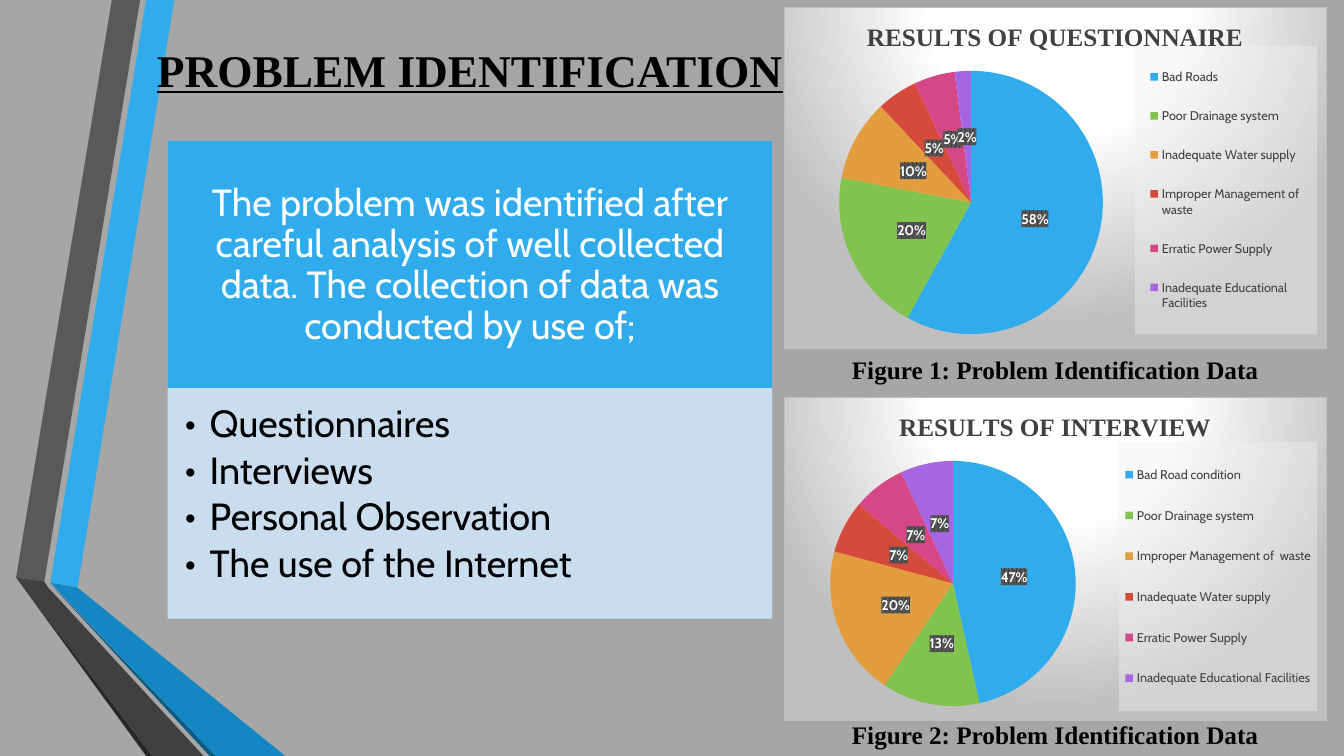
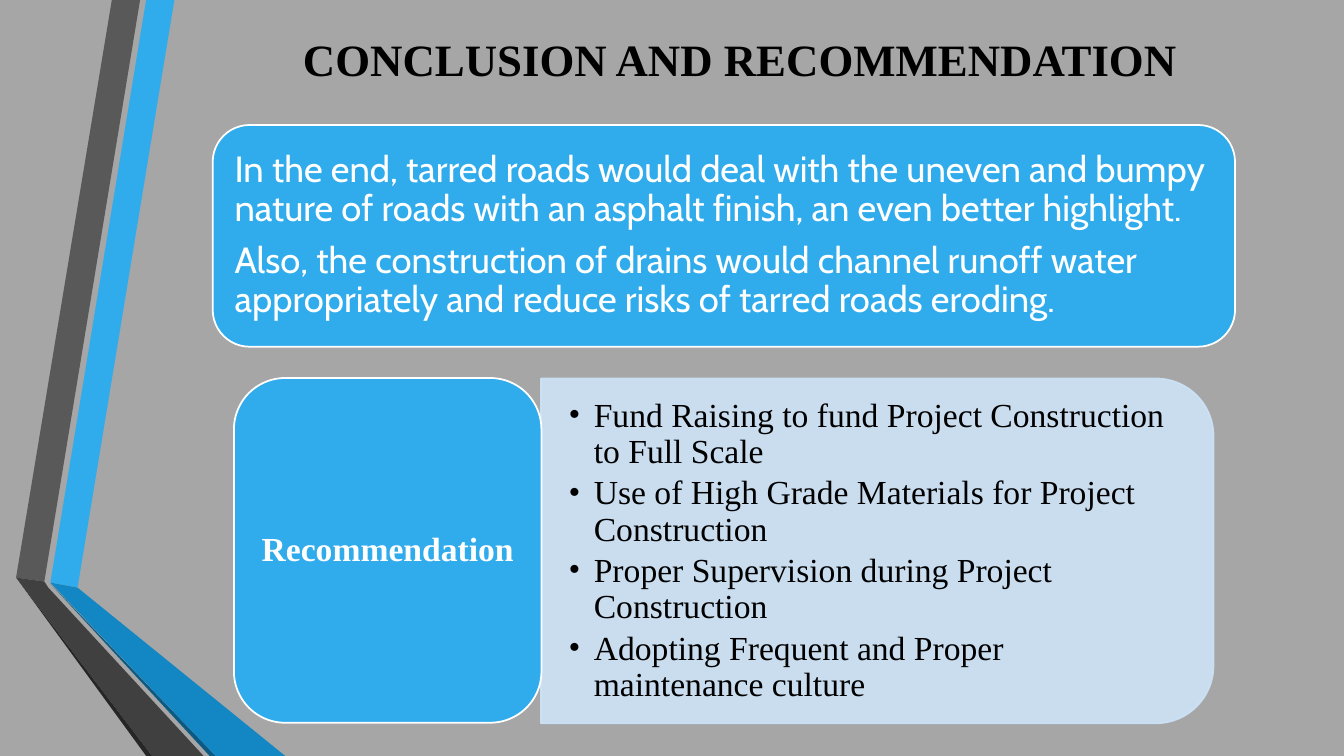
from lxml import etree
from pptx import Presentation
from pptx import util as u
from pptx.chart.data import CategoryChartData
from pptx.dml.color import RGBColor
from pptx.enum import chart as charts, shapes, text
from pptx.oxml import parse_xml
from pptx.oxml.ns import nsdecls, qn

PX = 9144  # 100 px to the inch
WIDTH, HEIGHT = 1333, 750
SERIF, SANS = "Times New Roman", "Cabin"
COLORS = {
    "background": "A6A6A6", "blue": "30ACEC", "blue_fold": "1287C3", "blue_edge": "0C5A82",
    "gray": "595959", "gray_fold": "404040", "gray_edge": "262626",
    "pale": "CDE3F8", "white": "FFFFFF", "black": "000000",
    "silver": "BFBFBF", "legend": "F2F2F2",
}
SLICES = ["30ACEC", "80C34F", "E29D3E", "D64A3B", "D64787", "A666E1"]
RIBBONS = [
    ("blue", [(50, 578), (77, 583), (173, 0), (145, 0)]),
    ("gray", [(139, 0), (111, 0), (16, 573), (44, 577)]),
    ("gray_edge", [(16, 573), (145, 750), (151, 750)]),
    ("blue_edge", [(50, 579), (208, 750), (214, 750)]),
    ("blue_fold", [(50, 578), (214, 750), (283, 750), (77, 583)]),
    ("gray_fold", [(202, 750), (48, 583), (44, 577), (16, 573), (151, 750)]),
]


def write_text(shape, lines, font, size, color="black", bold=False, underline=False,
               align="LEFT", anchor="MIDDLE", margins=(10, 5, 10, 5),
               spacing=0.9, after=0, bullets=False):
    """Fill a shape with evenly styled paragraphs; margins run left, top, right, bottom."""
    frame = shape.text_frame
    frame.word_wrap = True
    frame.vertical_anchor = text.MSO_ANCHOR[anchor]
    (frame.margin_left, frame.margin_top,
     frame.margin_right, frame.margin_bottom) = [margin * PX for margin in margins]
    frame.text = "\n".join(lines)
    for paragraph in frame.paragraphs:
        paragraph.alignment = text.PP_ALIGN[align]
        paragraph.line_spacing = spacing
        paragraph.space_after = u.Pt(after)
        if bullets:
            properties = paragraph._p.get_or_add_pPr()
            properties.set("marL", str(25 * PX))
            properties.set("indent", str(-25 * PX))
            etree.SubElement(properties, qn("a:buFont")).set("typeface", font)
            etree.SubElement(properties, qn("a:buChar")).set("char", "•")
        for run in paragraph.runs:
            run.font.name = font
            run.font.size = u.Pt(size)
            run.font.bold = bold
            run.font.underline = underline
            run.font.color.rgb = RGBColor.from_string(COLORS[color])


def add_panel(slide, kind, box, fill, line, opacity=100):
    shape = slide.shapes.add_shape(shapes.MSO_SHAPE[kind], *[side * PX for side in box])
    shape.shadow.inherit = False
    shape.fill.solid()
    shape.fill.fore_color.rgb = RGBColor.from_string(COLORS[fill])
    shape.line.color.rgb = RGBColor.from_string(COLORS[line])
    shape.line.width = u.Pt(1.25)
    if opacity < 100:
        for color in shape._element.spPr.iter(qn("a:srgbClr")):
            etree.SubElement(color, qn("a:alpha")).set("val", str(opacity * 1000))
    return shape


presentation = Presentation()
presentation.slide_width, presentation.slide_height = WIDTH * PX, HEIGHT * PX
background = presentation.slide_master.background.fill
background.solid()
background.fore_color.rgb = RGBColor.from_string(COLORS["background"])

# Both slides: folded ribbons and a centred title
TITLES = [
    ("PROBLEM IDENTIFICATION", (126, 37, 680, 63), 32.4, True),
    ("CONCLUSION AND RECOMMENDATION", (186, 4, 1096, 108), 32, False),
]
slides = []
for title, box, size, underline in TITLES:
    slide = presentation.slides.add_slide(presentation.slide_layouts[6])
    for color, points in RIBBONS:
        builder = slide.shapes.build_freeform(*points[0], scale=PX)
        builder.add_line_segments(points[1:], close=True)
        ribbon = builder.convert_to_shape()
        ribbon.shadow.inherit = False
        ribbon.fill.solid()
        ribbon.fill.fore_color.rgb = RGBColor.from_string(COLORS[color])
        ribbon.line.fill.background()
    heading = slide.shapes.add_textbox(*[side * PX for side in box])
    write_text(heading, [title], SERIF, size, bold=True, underline=underline,
               align="CENTER", spacing=1.0)
    slides.append(slide)
problem, conclusion = slides

# Problem identification: how the data was collected
intro = add_panel(problem, "RECTANGLE", (167, 141, 598, 245), "blue", "blue")
write_text(intro, ["The problem was identified after careful analysis of well collected data. "
                   "The collection of data was conducted by use of;"],
           SANS, 27, "white", align="CENTER", margins=(21, 12, 21, 12))
methods = add_panel(problem, "RECTANGLE", (167, 386, 598, 227), "pale", "pale", 90)
write_text(methods, ["Questionnaires", "Interviews", "Personal Observation",
                     "The use of the Internet"],
           SANS, 27, anchor="TOP", margins=(16, 16, 21, 24), after=4, bullets=True)

# Problem identification: the two pie charts, all boxes in slide px
PIES = [
    {"title": "RESULTS OF QUESTIONNAIRE", "caption": "Figure 1: Problem Identification Data",
     "box": (778, 7, 538, 339), "title_at": (855, 16), "pie": (832, 70, 262, 262),
     "legend": (1126, 45, 181, 287), "caption_top": 332,
     "data": {"Bad Roads": 58, "Poor Drainage system": 20, "Inadequate Water supply": 10,
              "Improper Management of  waste": 5, "Erratic Power Supply": 5,
              "Inadequate Educational Facilities": 2}},
    {"title": "RESULTS OF INTERVIEW", "caption": "Figure 2: Problem Identification Data",
     "box": (778, 394, 538, 321), "title_at": (887, 403), "pie": (823, 457, 244, 244),
     "legend": (1110, 438, 197, 268), "caption_top": 694,
     "data": {"Bad Road condition": 47, "Poor Drainage system": 13,
              "Improper Management of  waste": 20, "Inadequate Water supply": 7,
              "Erratic Power Supply": 7, "Inadequate Educational Facilities": 7}},
]
CHART_FILL = f"""<c:spPr {nsdecls("c", "a")}><a:gradFill><a:gsLst>
<a:gs pos="0"><a:srgbClr val="{COLORS["white"]}"/></a:gs>
<a:gs pos="39000"><a:srgbClr val="{COLORS["white"]}"/></a:gs>
<a:gs pos="100000"><a:srgbClr val="{COLORS["silver"]}"/></a:gs></a:gsLst>
<a:path path="circle"><a:fillToRect l="50000" t="-80000" r="50000" b="180000"/></a:path></a:gradFill>
<a:ln w="9525"><a:solidFill><a:srgbClr val="{COLORS["silver"]}"/></a:solidFill></a:ln></c:spPr>"""
LEGEND_FILL = f"""<c:spPr {nsdecls("c", "a")}><a:solidFill><a:srgbClr val="{COLORS["legend"]}">
<a:alpha val="39000"/></a:srgbClr></a:solidFill></c:spPr>"""
LABEL_FILL = f"""<c:spPr {nsdecls("c", "a")}><a:pattFill prst="pct75">
<a:fgClr><a:srgbClr val="{COLORS["gray_fold"]}"/></a:fgClr>
<a:bgClr><a:srgbClr val="{COLORS["gray"]}"/></a:bgClr></a:pattFill></c:spPr>"""

for pie in PIES:
    data = CategoryChartData()
    data.categories = list(pie["data"])
    data.add_series("Series 1", list(pie["data"].values()))
    chart = problem.shapes.add_chart(charts.XL_CHART_TYPE.PIE,
                                     *[side * PX for side in pie["box"]], data).chart
    chart.has_title = chart.has_legend = True
    chart.chart_title.text_frame.text = pie["title"]
    legend, plot = chart.legend, chart.plots[0]
    legend.position = charts.XL_LEGEND_POSITION.RIGHT
    legend.include_in_layout = False
    plot.vary_by_categories = True
    plot.has_data_labels = True
    labels = plot.data_labels
    labels.show_percentage, labels.show_value = True, False
    labels.number_format, labels.number_format_is_linked = "0%", False
    labels.position = charts.XL_LABEL_POSITION.CENTER
    title_font = chart.chart_title.text_frame.paragraphs[0].runs[0].font
    for font, name, size, color, bold in [
            (chart.font, SANS, 10, "black", False),
            (title_font, SERIF, 18, "gray_fold", True),
            (legend.font, SANS, 9, "gray_fold", False),
            (labels.font, SANS, 10, "white", True)]:
        font.name, font.size, font.bold = name, u.Pt(size), bold
        font.color.rgb = RGBColor.from_string(COLORS[color])
    for index, color in enumerate(SLICES):
        fill = plot.series[0].points[index].format.fill
        fill.solid()
        fill.fore_color.rgb = RGBColor.from_string(color)

    chart_space = chart._chartSpace
    for owner, fill in [(chart_space, CHART_FILL), (legend._element, LEGEND_FILL),
                        (labels._element, LABEL_FILL)]:
        owner.find(qn("c:txPr")).addprevious(parse_xml(fill))

    left, top, width, height = pie["box"]
    plot_area = chart_space.chart.plotArea
    for owner, box in [(chart.chart_title._element, pie["title_at"]),
                       (plot_area, pie["pie"]), (legend._element, pie["legend"])]:
        for old in owner.findall(qn("c:layout")):
            owner.remove(old)
        layout = parse_xml(f'<c:layout {nsdecls("c")}><c:manualLayout/></c:layout>')
        settings = [("xMode", "edge"), ("yMode", "edge"),
                    ("x", (box[0] - left) / width), ("y", (box[1] - top) / height)]
        if len(box) == 4:
            settings += [("w", box[2] / width), ("h", box[3] / height)]
        if owner is plot_area:
            settings.insert(0, ("layoutTarget", "inner"))
        for tag, value in settings:
            etree.SubElement(layout[0], qn(f"c:{tag}")).set("val", str(value))
        overlay = owner.find(qn("c:overlay"))
        if overlay is None:
            owner.insert(0, layout)
        else:
            overlay.addprevious(layout)

for pie in PIES:
    caption = problem.shapes.add_textbox(834 * PX, pie["caption_top"] * PX, 425 * PX, 50 * PX)
    write_text(caption, [pie["caption"]], SERIF, 18, bold=True, align="CENTER",
               anchor="TOP", spacing=1.5)

# Conclusion and recommendation
summary = add_panel(conclusion, "ROUNDED_RECTANGLE", (211, 124, 1014, 220), "blue", "white")
write_text(summary, ["In the end, tarred roads would deal with the uneven and bumpy nature of "
                     "roads with an asphalt finish, an even better highlight.",
                     "Also, the construction of drains would channel runoff water "
                     "appropriately and reduce risks of tarred roads eroding."],
           SANS, 26, "white", margins=(11, 11, 11, 11), after=9)
tab = add_panel(conclusion, "ROUND_2_SAME_RECTANGLE", (699, 213, 342, 667), "pale", "pale", 90)
tab.rotation = 90
advice = conclusion.shapes.add_textbox(537 * PX, 392 * PX, 650 * PX, 309 * PX)
write_text(advice, ["Fund Raising to fund Project Construction to Full Scale",
                    "Use of High Grade Materials for Project Construction",
                    "Proper Supervision during Project Construction",
                    "Adopting Frequent and Proper maintenance culture"],
           SERIF, 24, margins=(27, 14, 27, 14), after=3.6, bullets=True)
label = add_panel(conclusion, "ROUNDED_RECTANGLE", (232, 375, 305, 342), "blue", "white")
write_text(label, ["Recommendation"], SERIF, 24, "white", bold=True, align="CENTER",
           margins=(5, 5, 5, 5))

presentation.save("out.pptx")
